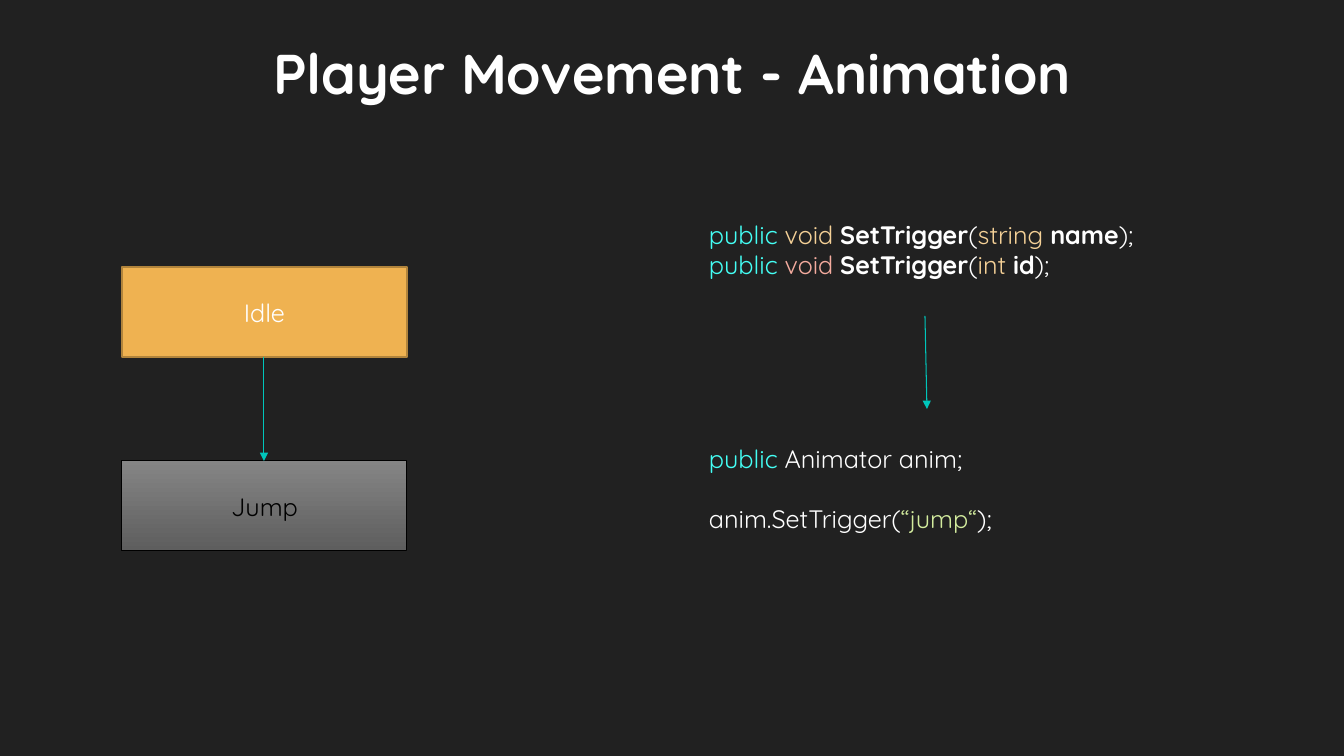
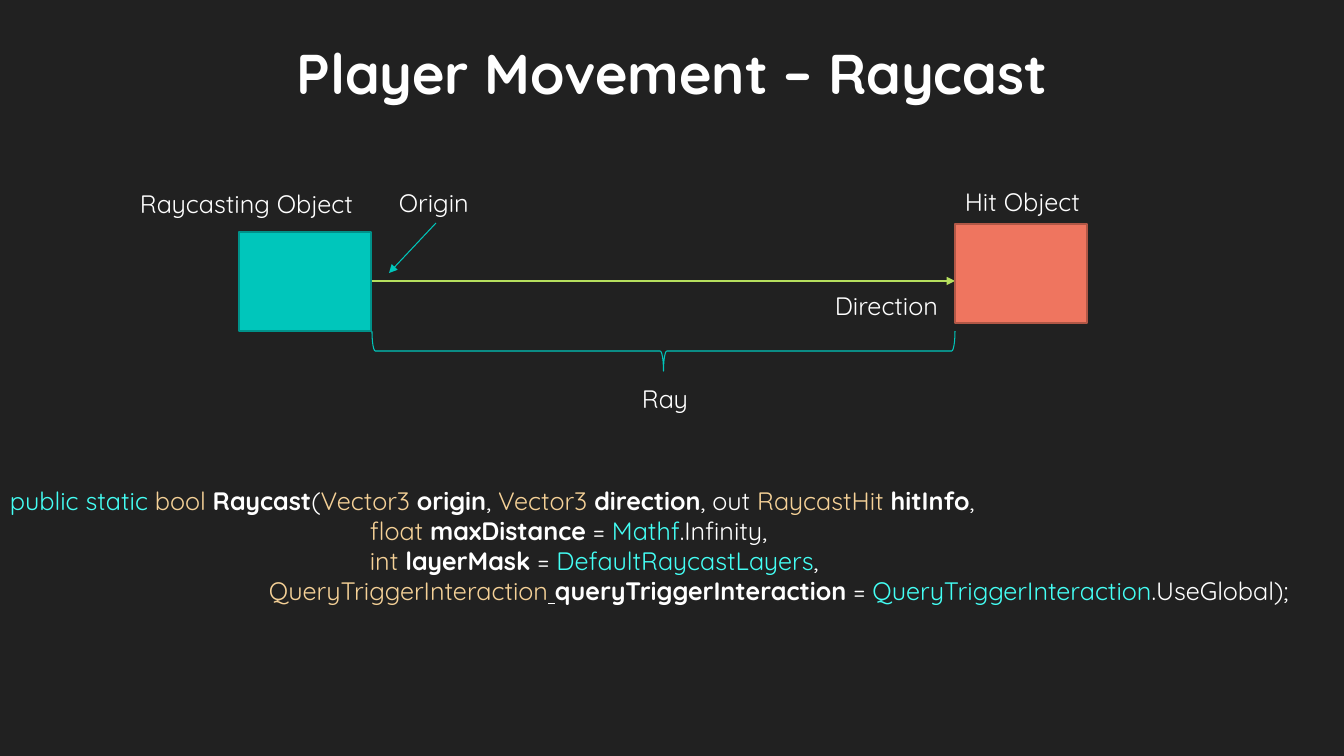
import pptx
import pptx.dml.color
import pptx.enum.shapes
import pptx.enum.text
import pptx.oxml
import pptx.oxml.ns
import pptx.util

RGB = pptx.dml.color.RGBColor
SHAPE = pptx.enum.shapes.MSO_SHAPE
ALIGN = pptx.enum.text.PP_ALIGN
ANCHOR = pptx.enum.text.MSO_ANCHOR

WIDTH, HEIGHT = 1344, 756
EMU_PER_PX = 12192000 / WIDTH
FONT = "Quicksand"
TITLE_SIZE, BODY_SIZE = 40, 18
LINE_GAP = 30

BACKGROUND = RGB(0x21, 0x21, 0x21)
WHITE = RGB(0xFF, 0xFF, 0xFF)
BLACK = RGB(0x00, 0x00, 0x00)
TEAL = RGB(0x00, 0xC6, 0xBB)
DARK_TEAL = RGB(0x00, 0x92, 0x8A)
AQUA = RGB(0x44, 0xFF, 0xF5)
SAND = RGB(0xF5, 0xD1, 0x97)
PINK = RGB(0xF5, 0xAC, 0x9F)
PALE_GREEN = RGB(0xD3, 0xEC, 0x9E)
GREEN = RGB(0xB6, 0xDF, 0x5E)
AMBER = RGB(0xEF, 0xB2, 0x51)
DARK_AMBER = RGB(0xB1, 0x84, 0x3C)
CORAL = RGB(0xEF, 0x75, 0x5F)
DARK_CORAL = RGB(0xB1, 0x57, 0x46)
LIGHT_GREY = RGB(0x85, 0x85, 0x85)
DARK_GREY = RGB(0x5E, 0x5E, 0x5E)


def px(length):
    return pptx.util.Emu(round(length * EMU_PER_PX))


def add_span(para, text, color=WHITE, bold=False, size=BODY_SIZE, underline=None):
    span = para.add_run()
    span.text = text
    span.font.name = FONT
    span.font.size = pptx.util.Pt(size)
    span.font.bold = bold
    span.font.underline = underline
    span.font.color.rgb = color


def plain(text):
    return text, WHITE


def keyword(text):
    return text, AQUA


def kind(text):
    return text, SAND


def name(text):
    return text, WHITE, True


def add_page(deck, title):
    page = deck.slides.add_slide(deck.slide_layouts.get_by_name("Title Only"))
    holder = page.shapes.title
    holder.left, holder.top = px(100), px(33)
    holder.width, holder.height = px(WIDTH - 200), px(78)
    holder.text_frame.vertical_anchor = ANCHOR.TOP
    para = holder.text_frame.paragraphs[0]
    para.alignment = ALIGN.CENTER
    add_span(para, title, bold=True, size=TITLE_SIZE)
    return page


def add_code(page, left, top, width, height, lines):
    """Each line is (indent, space before, spans)."""
    box = page.shapes.add_textbox(px(left), px(top), px(width), px(height))
    frame = box.text_frame
    frame.word_wrap = True
    for index, (indent, gap, spans) in enumerate(lines):
        para = frame.add_paragraph() if index else frame.paragraphs[0]
        para.space_before = px(gap)
        if indent:
            para._p.get_or_add_pPr().set("marL", str(px(indent)))
        for span in spans:
            add_span(para, *span)


def add_label(page, left, top, width, text):
    add_code(page, left, top, width, 40, [(0, 0, [plain(text)])])


def add_box(page, left, top, width, height, fill, edge, edge_width=1.25,
            text=None, color=WHITE):
    """A pair of colours as fill gives a gradient from top to bottom."""
    box = page.shapes.add_shape(SHAPE.RECTANGLE, px(left), px(top), px(width), px(height))
    box.shadow.inherit = False
    if isinstance(fill, list):
        box.fill.gradient()
        box.fill.gradient_angle = 270
        for stop, shade in zip(box.fill.gradient_stops, fill):
            stop.color.rgb = shade
    else:
        box.fill.solid()
        box.fill.fore_color.rgb = fill
    box.line.color.rgb = edge
    box.line.width = pptx.util.Pt(edge_width)
    if text:
        box.text_frame.vertical_anchor = ANCHOR.MIDDLE
        para = box.text_frame.paragraphs[0]
        para.alignment = ALIGN.CENTER
        add_span(para, text, color)


def add_arrow(page, start, end, color=TEAL, width=0.75):
    arrow = page.shapes.add_connector(
        pptx.enum.shapes.MSO_CONNECTOR.STRAIGHT, *map(px, start + end))
    arrow.line.color.rgb = color
    arrow.line.width = pptx.util.Pt(width)
    namespace = pptx.oxml.ns.nsdecls("a")
    arrow.line._get_or_add_ln().append(
        pptx.oxml.parse_xml(f'<a:tailEnd {namespace} type="triangle"/>'))
    arrow._element.spPr.append(pptx.oxml.parse_xml(f"<a:effectLst {namespace}/>"))


def add_brace_below(page, left, top, width, height):
    """A left brace turned so that its point faces down."""
    brace = page.shapes.add_shape(
        SHAPE.LEFT_BRACE, px(left + (width - height) / 2),
        px(top + (height - width) / 2), px(height), px(width))
    brace.rotation = 270
    brace.shadow.inherit = False
    brace.fill.background()
    brace.line.color.rgb = TEAL
    brace.line.width = pptx.util.Pt(0.75)


def build_animation(deck):
    page = add_page(deck, "Player Movement - Animation")
    left, width, height = 122, 285, 90
    idle_top, jump_top = 267, 461
    middle = left + width // 2
    add_box(page, left, idle_top, width, height, AMBER, DARK_AMBER, text="Idle")
    add_box(page, left, jump_top, width, height, [LIGHT_GREY, DARK_GREY], BLACK, 0.75,
            "Jump", BLACK)
    add_arrow(page, (middle, idle_top + height), (middle, jump_top))

    overloads = [(kind("void "), "string ", "name"), (("void ", PINK), "int ", "id")]
    add_code(page, 699, 214, 454, 102, [
        (0, 0, [keyword("public "), result, name("SetTrigger"), plain("("),
                kind(argument_kind), name(argument), plain(");")])
        for result, argument_kind, argument in overloads])
    add_arrow(page, (925, 316), (927, 409))
    add_code(page, 699, 438, 454, 102, [
        (0, 0, [keyword("public"), plain(" Animator anim;")]),
        (0, LINE_GAP, [plain("anim.SetTrigger("), ("“jump“", PALE_GREEN), plain(");")])])


def build_raycast(deck):
    page = add_page(deck, "Player Movement – Raycast")
    ray_left, ray_right, ray_y = 372, 955, 281
    width, height = 132, 99
    add_arrow(page, (ray_left, ray_y), (ray_right, ray_y), GREEN, 1.25)
    add_box(page, ray_left - width - 1, 232, width, height, TEAL, DARK_TEAL)
    add_box(page, ray_right, 224, width, height, CORAL, DARK_CORAL)
    add_arrow(page, (436, 223), (389, 273))
    add_brace_below(page, ray_left, 331, ray_right - ray_left, 40)

    for left, top, label_width, text in (
            (130, 183, 250, "Raycasting Object"),
            (389, 182, 110, "Origin"),
            (ray_right, 181, 150, "Hit Object"),
            (825, 285, 140, "Direction"),
            (632, 378, 80, "Ray")):
        add_label(page, left, top, label_width, text)

    add_code(page, 0, 480, 1332, 132, [
        (0, 0, [keyword("public static "), kind("bool "), name("Raycast"), plain("("),
                kind("Vector3 "), name("origin"), plain(", "),
                kind("Vector3 "), name("direction"), plain(", out "),
                kind("RaycastHit "), name("hitInfo"), plain(",")]),
        (360, 0, [kind("float "), name("maxDistance"), plain(" = "),
                  keyword("Mathf"), plain(".Infinity,")]),
        (360, 0, [kind("int "), name("layerMask"), plain(" = "),
                  keyword("DefaultRaycastLayers"), plain(",")]),
        (259, 0, [kind("QueryTriggerInteraction"), (" ", WHITE, False, BODY_SIZE, True),
                  name("queryTriggerInteraction"), plain(" = "),
                  keyword("QueryTriggerInteraction"), plain(".UseGlobal);")])])


def main():
    deck = pptx.Presentation()
    deck.slide_width, deck.slide_height = px(WIDTH), px(HEIGHT)
    backdrop = deck.slide_master.background.fill
    backdrop.solid()
    backdrop.fore_color.rgb = BACKGROUND
    build_animation(deck)
    build_raycast(deck)
    deck.save("out.pptx")


if __name__ == "__main__":
    main()
